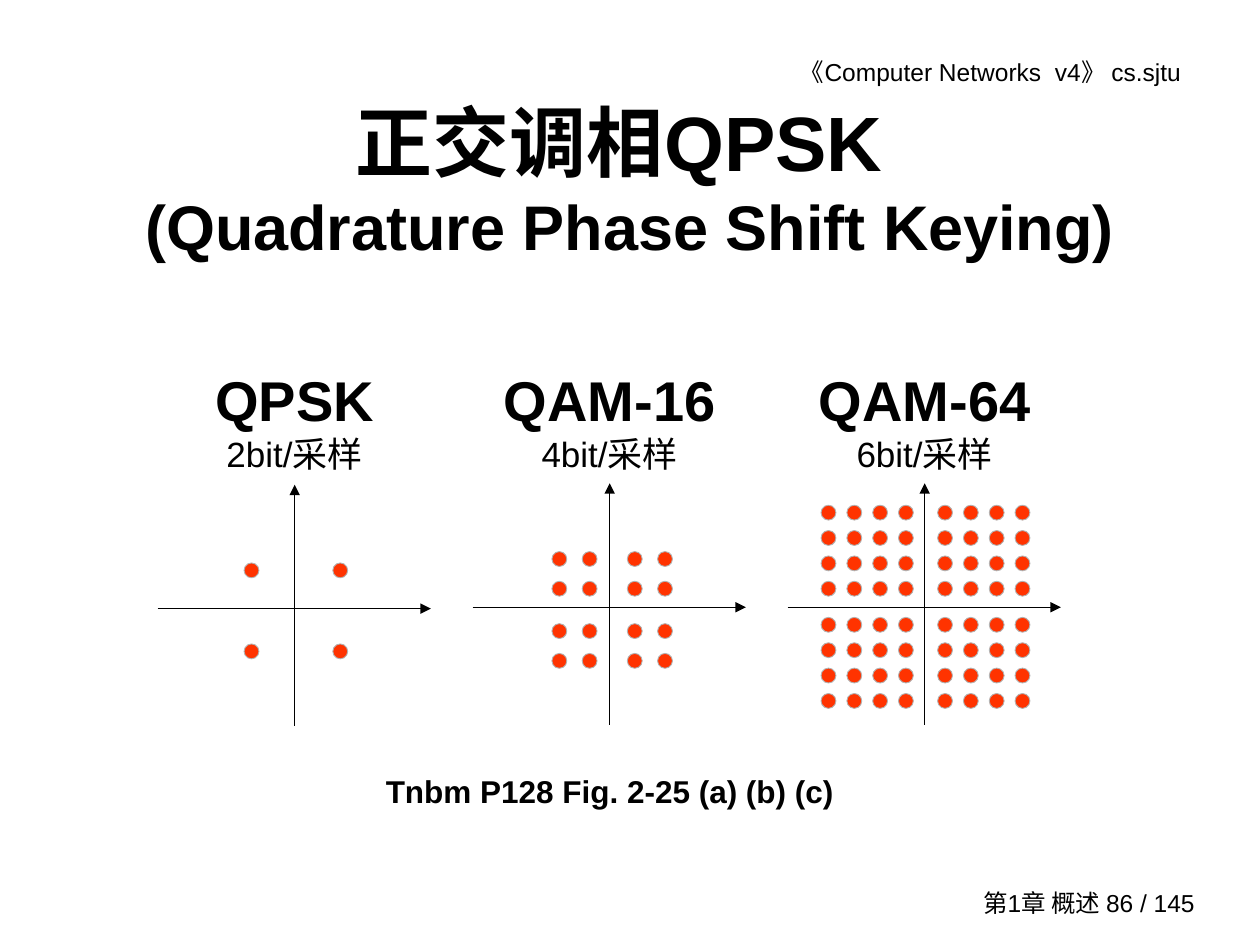
"""Build the slide comparing the QPSK, QAM-16 and QAM-64 constellations."""
from itertools import product

from lxml.etree import SubElement
from pptx import Presentation
from pptx.dml.color import RGBColor
from pptx.enum.shapes import MSO_CONNECTOR, MSO_SHAPE
from pptx.enum.text import MSO_ANCHOR, MSO_AUTO_SIZE, PP_ALIGN
from pptx.oxml.ns import qn
from pptx.util import Pt

BLACK = RGBColor(0x00, 0x00, 0x00)
DOT_FILL = RGBColor(0xFF, 0x33, 0x00)
DOT_LINE = RGBColor(0xB2, 0xB2, 0xB2)
FONT = "Arial"

TITLE = [("正交调相QPSK ", 44), ("(Quadrature Phase Shift Keying)", 36)]
HEADER = "《Computer Networks  v4》 cs.sjtu"
FOOTER = "第1章 概述 86 / 145"
CAPTION = "Tnbm P128 Fig. 2-25 (a) (b) (c)"

DIAGRAMS = [
    {"name": "QPSK", "rate": "2bit/采样", "axis_y": 347.8, "label_width": 105,
     "side": 1, "step": (0, 0), "x": (-28.9, 21.8), "y": (-26.1, 20.2)},
    {"name": "QAM-16", "rate": "4bit/采样", "axis_y": 347, "label_width": 135.4,
     "side": 2, "step": (17.3, 17), "x": (-33, 10.1), "y": (-31.8, 9.4)},
    {"name": "QAM-64", "rate": "6bit/采样", "axis_y": 347, "label_width": 135.4,
     "side": 4, "step": (14.75, 14.5), "x": (-59.2, 7.4), "y": (-58.3, 5.8)},
]
FIRST_X, PITCH = 168.4, 180
LEFT_ARM, RIGHT_ARM, UP_ARM, DOWN_ARM = 78.4, 77.8, 70.8, 67
DOT = 8.5
LABEL_TOP, LABEL_HEIGHT = 205.2, 69.8


def style(r, size, bold=False):
    r.font.name = FONT
    r.font.size = Pt(size)
    r.font.bold = bold
    r.font.color.rgb = BLACK


def add_text(shapes, box, lines, align, wrap=True, anchor=MSO_ANCHOR.TOP):
    s = shapes.add_textbox(*map(Pt, box))
    tf = s.text_frame
    tf.word_wrap = wrap
    tf.vertical_anchor = anchor
    tf.text = "\n".join(text for text, _, _ in lines)
    for p, (_, size, bold) in zip(tf.paragraphs, lines):
        p.alignment = align
        style(p.runs[0], size, bold)
    return s


def add_arrow(shapes, *ends):
    c = shapes.add_connector(MSO_CONNECTOR.STRAIGHT, *map(Pt, ends))
    c.line.color.rgb = BLACK
    c.line.width = Pt(0.5)
    SubElement(c.line._get_or_add_ln(), qn("a:tailEnd"), type="triangle")
    SubElement(c._element.spPr, qn("a:effectLst"))


def add_dot(shapes, left, top):
    s = shapes.add_shape(MSO_SHAPE.OVAL, Pt(left), Pt(top), Pt(DOT), Pt(DOT))
    s.shadow.inherit = False
    s.fill.solid()
    s.fill.fore_color.rgb = DOT_FILL
    s.line.color.rgb = DOT_LINE
    s.line.width = Pt(0.5)


def offsets(starts, step, count):
    return [start + i * step for start in starts for i in range(count)]


def add_diagram(slide, index, d):
    shapes = slide.shapes.add_group_shape().shapes
    x, y = FIRST_X + index * PITCH, d["axis_y"]
    add_arrow(shapes, x - LEFT_ARM, y, x + RIGHT_ARM, y)
    add_arrow(shapes, x, y + DOWN_ARM, x, y - UP_ARM)
    columns = offsets(d["x"], d["step"][0], d["side"])
    rows = offsets(d["y"], d["step"][1], d["side"])
    for dy, dx in product(rows, columns):
        add_dot(shapes, x + dx, y + dy)
    width = d["label_width"]
    add_text(shapes, (x - width / 2, LABEL_TOP, width, LABEL_HEIGHT),
             [(d["name"], 32, True), (d["rate"], 20, False)],
             PP_ALIGN.CENTER, wrap=False)


def add_title(slide):
    s = slide.shapes.title
    s.left, s.top, s.width, s.height = map(Pt, (54, 48.2, 612, 108))
    tf = s.text_frame
    tf.auto_size = MSO_AUTO_SIZE.NONE
    tf.vertical_anchor = MSO_ANCHOR.MIDDLE
    tf.text = "\v".join(text for text, _ in TITLE)
    p = tf.paragraphs[0]
    p.alignment = PP_ALIGN.CENTER
    for r, (_, size) in zip(p.runs, TITLE):
        style(r, size, True)


def main():
    prs = Presentation()
    prs.slide_width, prs.slide_height = Pt(720), Pt(540)
    slide = prs.slides.add_slide(prs.slide_layouts[5])
    header = add_text(slide.shapes, (385.2, 28.8, 304.6, 24.5),
                      [(HEADER, 14, False)], PP_ALIGN.RIGHT)
    header.text_frame.margin_right = Pt(15)
    add_text(slide.shapes, (540, 504, 149.8, 23.8), [(FOOTER, 14, False)],
             PP_ALIGN.RIGHT, anchor=MSO_ANCHOR.MIDDLE)
    add_title(slide)
    for index, d in enumerate(DIAGRAMS):
        add_diagram(slide, index, d)
    add_text(slide.shapes, (168.5, 437.8, 360, 28.8), [(CAPTION, 18, True)],
             PP_ALIGN.CENTER)
    prs.save("out.pptx")


if __name__ == "__main__":
    main()
